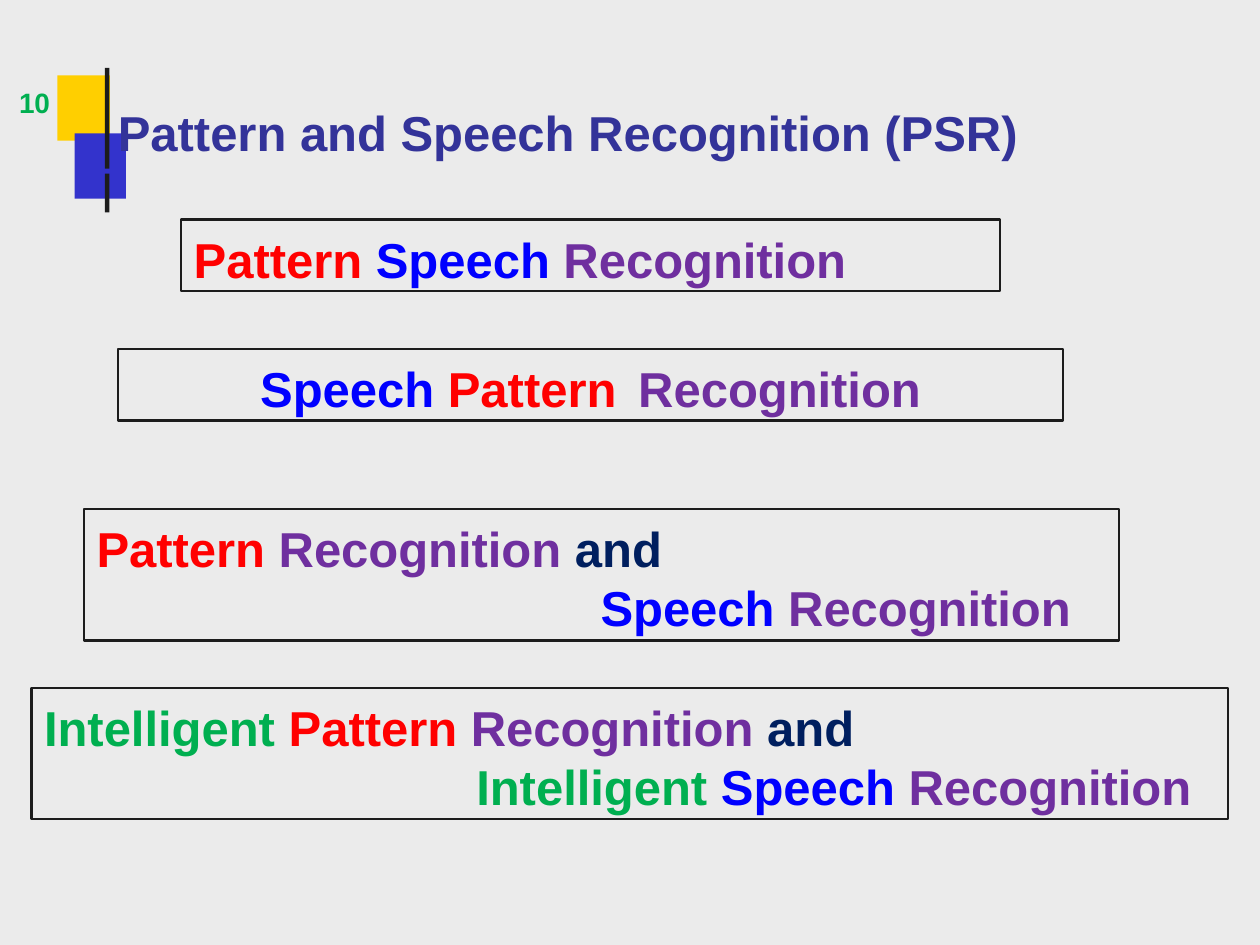
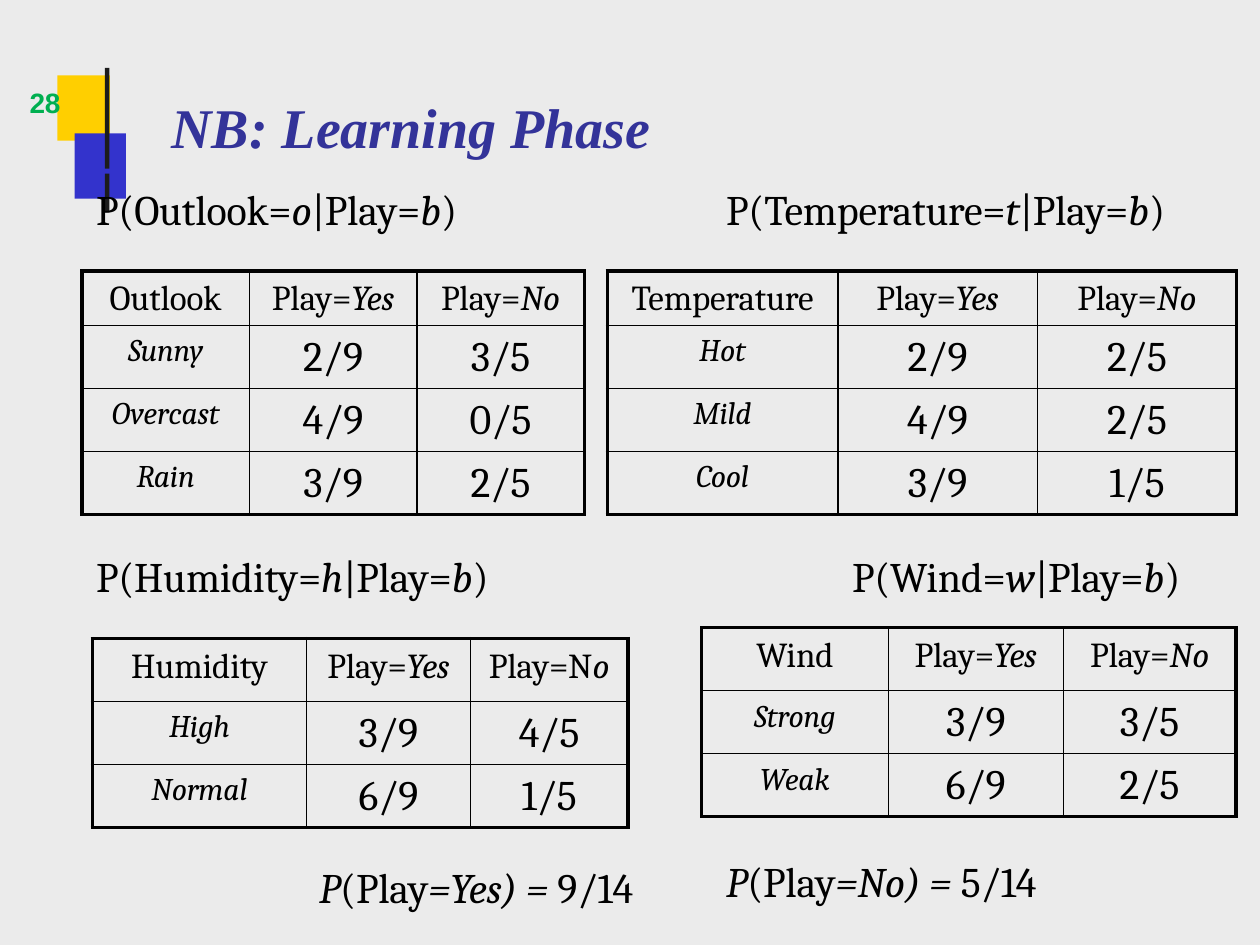
from pptx import Presentation
from pptx.dml.color import RGBColor
from pptx.enum.shapes import MSO_SHAPE
from pptx.enum.text import MSO_ANCHOR, PP_ALIGN
from pptx.oxml.ns import qn
from pptx.util import Pt
from lxml import etree

RECTANGLE = MSO_SHAPE.RECTANGLE
TOP = MSO_ANCHOR.TOP
LEFT, CENTER = PP_ALIGN.LEFT, PP_ALIGN.CENTER

COLOURS = {
    "background": "EBEBEB", "yellow": "FFCF00", "indigo": "3333CC", "ink": "1C1C1C",
    "title": "333399", "green": "00AF50", "red": "FF0000", "blue": "0000FF",
    "purple": "6F2F9F", "navy": "001F5F", "black": "000000",
}
WORD_COLOURS = {
    "Pattern": "red", "Speech": "blue", "Recognition": "purple",
    "Intelligent": "green", "and": "navy",
}
ORNAMENTS = [
    ("yellow", 32.8, 43, 30, 37.4),
    ("indigo", 42.6, 76.2, 29.3, 37.4),
    ("ink", 60, 38.8, 2.6, 57.6),
    ("ink", 60, 99.2, 2.6, 22.2),
]
NAME_BOXES = [
    {"place": (103.5, 125.5, 468, 41), "lines": [("Pattern Speech Recognition", 7.2)]},
    {"place": (48, 291, 591.3, 75), "pitch": 33.5,
     "lines": [("Pattern Recognition and", 7.2), ("Speech Recognition", 295.2)]},
    {"place": (18, 393, 684, 75), "pitch": 33.5,
     "lines": [("Intelligent Pattern Recognition and", 7.2),
               ("Intelligent Speech Recognition", 254.2)]},
    {"place": (67.5, 199.3, 540, 41), "align": CENTER, "tab": 219.6,
     "lines": [("Speech Pattern\tRecognition", 0)]},
]
TABLES = [
    {"corner": (46.8, 154.9), "columns": (95.7, 95.7, 95.7), "header_height": 31,
     "rows": [("Outlook", "Play=*Yes*", "Play=*No*"), ("Sunny", "2/9", "3/5"),
              ("Overcast", "4/9", "0/5"), ("Rain", "3/9", "2/5")]},
    {"corner": (347, 154.9), "columns": (131.8, 114, 114), "header_height": 31,
     "rows": [("Temperature", "Play=*Yes*", "Play=*No*"), ("Hot", "2/9", "2/5"),
              ("Mild", "4/9", "2/5"), ("Cool", "3/9", "1/5")]},
    {"corner": (52.8, 364.9), "columns": (122.4, 93.6, 90), "header_height": 36,
     "rows": [("Humidity", "Play=*Yes*", "Play=N*o*"), ("High", "3/9", "4/5"),
              ("Normal", "6/9", "1/5")]},
    {"corner": (401, 358.7), "columns": (106.6, 100.1, 98.6), "header_height": 36,
     "rows": [("Wind", "Play=*Yes*", "Play=*No*"), ("Strong", "3/9", "3/5"),
              ("Weak", "6/9", "2/5")]},
]
FORMULAS = [
    ("*P*(Play*=Yes) = *9/14", 181.4, 491, 191.5),
    ("*P*(Play*=No) = *5/14", 414, 487.4, 188.6),
    ("P(Outlook=*o*|Play=*b*)", 54, 103, 224.6),
    ("P(Temperature=*t*|Play=*b*)", 414, 103, 273),
    ("P(Humidity=*h*|Play=*b*)", 54, 313.2, 244),
    ("P(Wind=*w*|Play=*b*)", 486, 313.2, 203.8),
]
BODY_ROW, TEXT_INSET, BOX_INSET, CELL_INSET = 36, 1.6, 5.7, 4.6
OUTER_LINE, INNER_LINE = 2.25, 1


def colour(name):
    return RGBColor.from_string(COLOURS[name])


def points(values):
    return [Pt(value) for value in values]


def write(para, text, size=28, font="Arial", fill="black", bold=False, italic=False,
          tracking=0, align=LEFT, indent=0, pitch=None, tab=None, by_word=False):
    properties = para._p.get_or_add_pPr()
    properties.set("marL", str(Pt(indent)))
    properties.set("indent", "0")
    if tab:
        stops = etree.SubElement(properties, qn("a:tabLst"))
        etree.SubElement(stops, qn("a:tab"), pos=str(Pt(tab)), algn="l")
    para.alignment = align
    if pitch:
        para.line_spacing = Pt(pitch)
    if by_word:
        words = text.replace(" ", " *").replace("\t", "\t*").split("*")
        spans = [(word, WORD_COLOURS[word.strip()], italic) for word in words]
    else:
        spans = [(part, fill, italic or index % 2 == 1)
                 for index, part in enumerate(text.split("*")) if part]
    for content, name, slanted in spans:
        span = para.add_run()
        span.text = content
        span.font.size = Pt(size)
        span.font.name = font
        span.font.bold = bold
        span.font.italic = slanted
        span.font.color.rgb = colour(name)
        if tracking:
            span.font._element.set("spc", str(round(tracking * 100)))


def prepare(frame, inset):
    frame.word_wrap = True
    frame.vertical_anchor = TOP
    frame.margin_left = frame.margin_right = frame.margin_bottom = 0
    frame.margin_top = Pt(inset)
    return frame


def add_text(page, text, place, inset=TEXT_INSET, **style):
    box = page.shapes.add_textbox(*points(place))
    write(prepare(box.text_frame, inset).paragraphs[0], text, **style)


def add_rectangle(page, place):
    box = page.shapes.add_shape(RECTANGLE, *points(place))
    box.shadow.inherit = False
    return box


def add_page(deck, number, number_left):
    page = deck.slides.add_slide(deck.slide_layouts[6])
    page.background.fill.solid()
    page.background.fill.fore_color.rgb = colour("background")
    for name, *place in ORNAMENTS:
        ornament = add_rectangle(page, place)
        ornament.fill.solid()
        ornament.fill.fore_color.rgb = colour(name)
        ornament.line.fill.background()
    add_text(page, number, (number_left, 47.5, 20.5, 21), indent=1,
             size=16, fill="green", bold=True, tracking=-0.2)
    return page


def add_title(page, text, place, **style):
    add_text(page, text, place, fill="title", bold=True, indent=1, **style)


def add_name_box(page, place, lines, **style):
    box = add_rectangle(page, place)
    box.fill.background()
    box.line.color.rgb = colour("ink")
    box.line.width = Pt(1.25)
    frame = prepare(box.text_frame, BOX_INSET)
    for index, (text, indent) in enumerate(lines):
        para = frame.add_paragraph() if index else frame.paragraphs[0]
        write(para, text, indent=indent, bold=True, by_word=True, **style)


def set_borders(cell, outer_sides):
    properties = cell._tc.get_or_add_tcPr()
    for side, outer in zip("LRTB", outer_sides):
        width = OUTER_LINE if outer else INNER_LINE
        line = etree.SubElement(properties, qn(f"a:ln{side}"), w=str(Pt(width)))
        fill = etree.SubElement(line, qn("a:solidFill"))
        etree.SubElement(fill, qn("a:srgbClr"), val=COLOURS["black"])


def add_probabilities(page, corner, columns, header_height, rows):
    heights = [header_height] + [BODY_ROW] * (len(rows) - 1)
    place = (*corner, sum(columns), sum(heights))
    table = page.shapes.add_table(len(rows), len(columns), *points(place)).table
    table.first_row = table.horz_banding = False
    for column, width in zip(table.columns, columns):
        column.width = Pt(width)
    for row, height in zip(table.rows, heights):
        row.height = Pt(height)
    for r, values in enumerate(rows):
        for c, value in enumerate(values):
            cell = table.cell(r, c)
            set_borders(cell, (c == 0, c == len(columns) - 1, r == 0, r == len(rows) - 1))
            cell.fill.background()
            cell.margin_left = cell.margin_right = cell.margin_bottom = 0
            cell.margin_top = Pt(CELL_INSET)
            cell.vertical_anchor = TOP
            size = 20 if r == 0 else 18 if c == 0 else 24
            write(cell.text_frame.paragraphs[0], value, size=size, font="Cambria",
                  italic=r > 0 and c == 0, tracking=-0.1, align=CENTER)


def main():
    deck = Presentation()
    deck.slide_width, deck.slide_height = Pt(720), Pt(540)

    page = add_page(deck, "10", 10)
    add_title(page, "Pattern and Speech Recognition (PSR)", (66.4, 57, 518, 35))
    for name_box in NAME_BOXES:
        add_name_box(page, **name_box)

    page = add_page(deck, "28", 16)
    add_title(page, "NB: Learning Phase", (97, 37.4, 526, 53), inset=15.5,
              size=32, font="Times New Roman", italic=True)
    for table in TABLES:
        add_probabilities(page, **table)
    for text, left, top, width in FORMULAS:
        add_text(page, text, (left, top, width, 31), indent=1,
                 size=24, font="Cambria", tracking=-0.1)

    deck.save("out.pptx")


if __name__ == "__main__":
    main()
